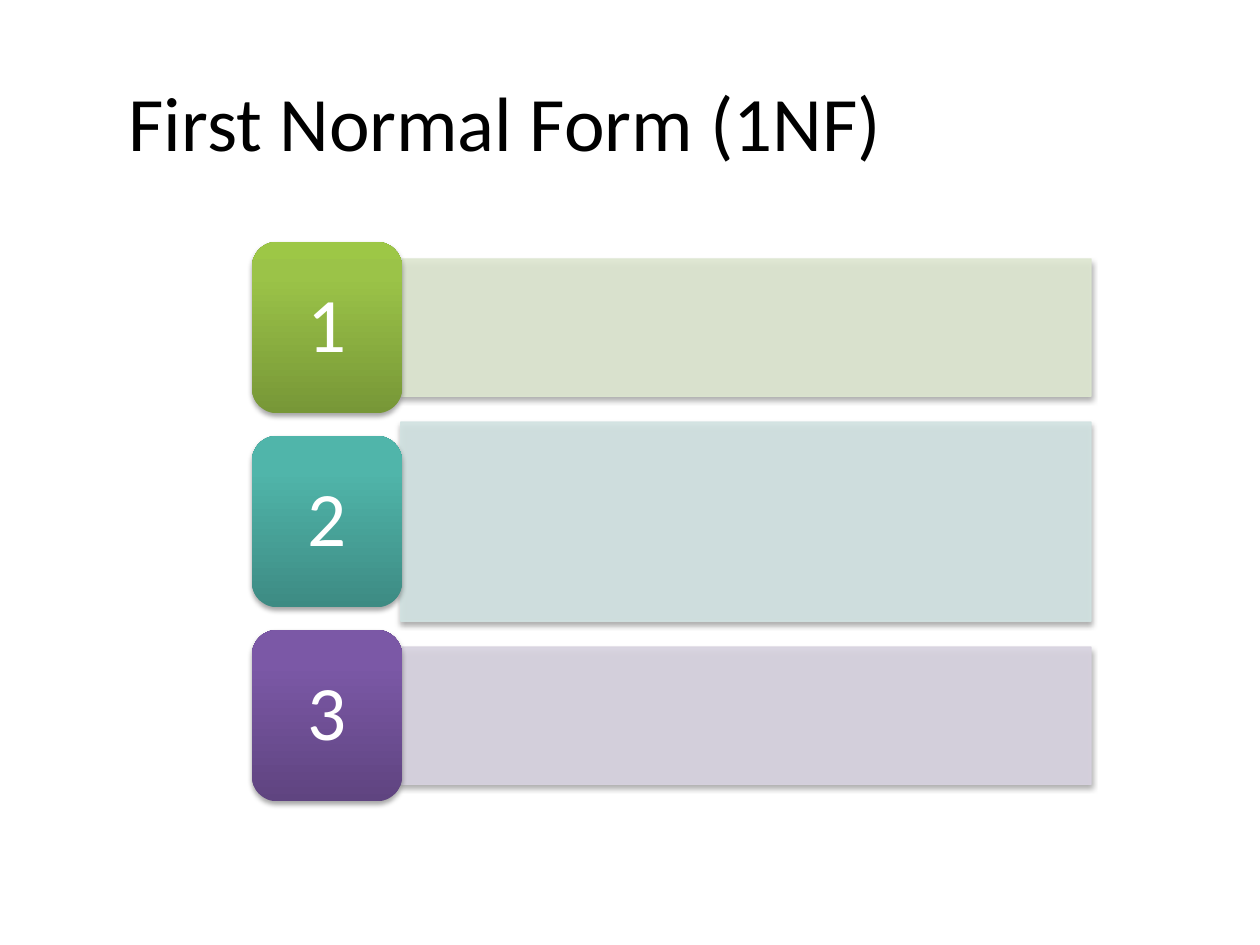
from dataclasses import dataclass

from lxml.etree import SubElement
from pptx import Presentation
from pptx.dml.color import RGBColor
from pptx.enum.shapes import MSO_SHAPE as Shape
from pptx.enum.text import MSO_ANCHOR as Anchor, PP_ALIGN as Align
from pptx.oxml.ns import qn
from pptx.util import Inches, Pt


@dataclass(frozen=True)
class Theme:
    """Hold the colours and type of the slide."""
    font: str = "Calibri"
    size: int = 44
    title: str = "000000"
    number: str = "FFFFFF"
    shadow: str = "000000"
    bar_opacity: int = 90
    shadow_opacity: int = 35


@dataclass(frozen=True)
class Row:
    """Describe one numbered row: bar height, bar colour and tile gradient."""
    height: float
    bar: str
    tile: tuple


THEME = Theme()
WIDTH, HEIGHT = 10, 7.5
TILE_LEFT, TILE_WIDTH, TILE_HEIGHT = 2, 1.19, 1.36
BAR_LEFT, BAR_WIDTH = 3.18, 5.48
FIRST_CENTRE, PITCH = 2.6, 1.54
GRADIENT_STOPS = (0, 80, 100)
ROWS = (
    Row(1.09, "DEE7D1", ("779737", "9BC348", "9DC746")),
    Row(1.58, "D2E3E2", ("3D8B83", "50B5AA", "4EB8AC")),
    Row(1.09, "D8D3E0", ("5F4480", "7B58A6", "7C57A8")),
)


def set_type(para, color, align):
    """Format a paragraph in the theme's type."""
    para.alignment = align
    para.font.name = THEME.font
    para.font.size = Pt(THEME.size)
    para.font.color.rgb = RGBColor.from_string(color)


def add_alpha(color, percent):
    """Give a colour element an opacity."""
    SubElement(color, qn("a:alpha"), val=str(percent * 1000))


def add_shadow(shape):
    """Put a soft shadow below a shape."""
    shape.shadow.inherit = False
    effects = shape._element.spPr.find(qn("a:effectLst"))
    shadow = SubElement(effects, qn("a:outerShdw"), blurRad=str(Pt(3.1)),
                        dist=str(Pt(1.8)), dir="5400000", rotWithShape="0")
    add_alpha(SubElement(shadow, qn("a:srgbClr"), val=THEME.shadow), THEME.shadow_opacity)


def add_block(page, kind, left, centre, width, height):
    """Add a shadowed shape centred on a row."""
    box = page.shapes.add_shape(kind, Inches(left), Inches(centre - height / 2),
                                Inches(width), Inches(height))
    add_shadow(box)
    return box


def add_bar(page, row, centre):
    """Add the translucent bar of a row."""
    bar = add_block(page, Shape.RECTANGLE, BAR_LEFT, centre, BAR_WIDTH, row.height)
    bar.line.width = Pt(0.75)
    for fill in (bar.fill, bar.line.fill):
        fill.solid()
        fill.fore_color.rgb = RGBColor.from_string(row.bar)
    for color in bar._element.spPr.iter(qn("a:srgbClr")):
        if color.get("val") == row.bar:
            add_alpha(color, THEME.bar_opacity)


def add_tile(page, row, centre, number):
    """Add the gradient tile with the number of a row."""
    tile = add_block(page, Shape.ROUNDED_RECTANGLE, TILE_LEFT, centre, TILE_WIDTH, TILE_HEIGHT)
    tile.line.fill.background()
    tile.fill.gradient()
    tile.fill.gradient_angle = 90
    stops = next(tile._element.spPr.iter(qn("a:gsLst")))
    stops.clear()
    for position, color in zip(GRADIENT_STOPS, row.tile):
        stop = SubElement(stops, qn("a:gs"), pos=str(position * 1000))
        SubElement(stop, qn("a:srgbClr"), val=color)
    frame = tile.text_frame
    frame.vertical_anchor = Anchor.MIDDLE
    para = frame.paragraphs[0]
    para.text = str(number)
    para.line_spacing = 0.9
    set_type(para, THEME.number, Align.CENTER)


def add_title(page, text):
    """Place and format the title."""
    title = page.shapes.title
    title.left, title.top = Inches(0.92), Inches(0.33)
    title.width, title.height = Inches(8.83), Inches(1.25)
    title.text_frame.text = text
    title.text_frame.vertical_anchor = Anchor.MIDDLE
    set_type(title.text_frame.paragraphs[0], THEME.title, Align.LEFT)


def main():
    """Build and save the deck."""
    deck = Presentation()
    deck.slide_width, deck.slide_height = Inches(WIDTH), Inches(HEIGHT)
    page = deck.slides.add_slide(deck.slide_layouts[5])
    add_title(page, "First Normal Form (1NF)")
    for index, row in enumerate(ROWS):
        centre = FIRST_CENTRE + index * PITCH
        add_bar(page, row, centre)
        add_tile(page, row, centre, index + 1)
    deck.save("out.pptx")


if __name__ == "__main__":
    main()
